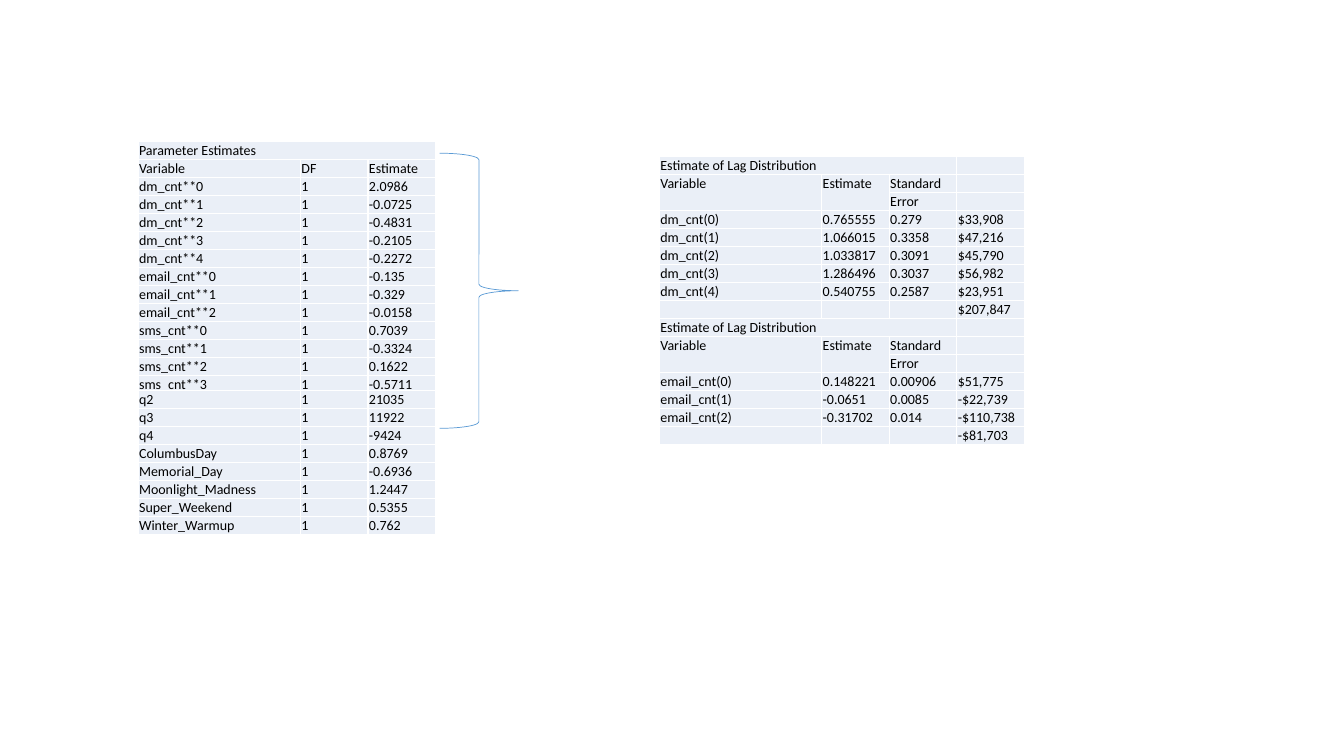
"""Build a slide with parameter estimates beside their lag distributions."""
from lxml.etree import SubElement
from pptx import Presentation
from pptx.dml.color import RGBColor
from pptx.enum.shapes import MSO_SHAPE
from pptx.enum.text import MSO_ANCHOR
from pptx.oxml.ns import qn
from pptx.util import Inches, Pt

THEME = {
    "font": "Calibri", "size": 10, "text": "000000",
    "cell": "EAEFF7", "edge": "FFFFFF", "brace": "5B9BD5",
}
MODEL = [
    ("Parameter Estimates", "", ""),
    ("Variable", "DF", "Estimate"),
    ("dm_cnt**0", "1", "2.0986"),
    ("dm_cnt**1", "1", "-0.0725"),
    ("dm_cnt**2", "1", "-0.4831"),
    ("dm_cnt**3", "1", "-0.2105"),
    ("dm_cnt**4", "1", "-0.2272"),
    ("email_cnt**0", "1", "-0.135"),
    ("email_cnt**1", "1", "-0.329"),
    ("email_cnt**2", "1", "-0.0158"),
    ("sms_cnt**0", "1", "0.7039"),
    ("sms_cnt**1", "1", "-0.3324"),
    ("sms_cnt**2", "1", "0.1622"),
    ("sms_cnt**3", "1", "-0.5711"),
]
EVENTS = [
    ("q2", "1", "21035"),
    ("q3", "1", "11922"),
    ("q4", "1", "-9424"),
    ("ColumbusDay", "1", "0.8769"),
    ("Memorial_Day", "1", "-0.6936"),
    ("Moonlight_Madness", "1", "1.2447"),
    ("Super_Weekend", "1", "0.5355"),
    ("Winter_Warmup", "1", "0.762"),
]
HEAD = [
    ("Estimate of Lag Distribution", "", "", ""),
    ("Variable", "Estimate", "Standard", ""),
    ("", "", "Error", ""),
]
MAIL = [
    ("dm_cnt(0)", "0.765555", "0.279", "$33,908"),
    ("dm_cnt(1)", "1.066015", "0.3358", "$47,216"),
    ("dm_cnt(2)", "1.033817", "0.3091", "$45,790"),
    ("dm_cnt(3)", "1.286496", "0.3037", "$56,982"),
    ("dm_cnt(4)", "0.540755", "0.2587", "$23,951"),
    ("", "", "", "$207,847"),
]
EMAIL = [
    ("email_cnt(0)", "0.148221", "0.00906", "$51,775"),
    ("email_cnt(1)", "-0.0651", "0.0085", "-$22,739"),
    ("email_cnt(2)", "-0.31702", "0.014", "-$110,738"),
    ("", "", "", "-$81,703"),
]
LAGS = HEAD + MAIL + HEAD + EMAIL
SPANS = [
    (top + row, col, top + last, end)
    for top in (0, len(HEAD + MAIL))
    for row, col, last, end in ((0, 0, 0, 2), (1, 0, 2, 0), (1, 1, 2, 1))
]
TABLES = [
    (1.37, 1.4, 2.48, MODEL, [(0, 0, 0, 2)]),
    (1.37, 3.87, 1.42, EVENTS, []),
    (6.54, 1.55, 2.83, LAGS, SPANS),
]
BRACE = (4.36, 1.52, 0.78, 2.73)
WIDE, SLIM = 1.61, 0.67
INSET = Inches(0.01)


def color(name):
    """Return a theme colour."""
    return RGBColor.from_string(THEME[name])


def style(cell, text, low):
    """Write and format one table cell."""
    form = {
        "margin_left": INSET, "margin_right": INSET,
        "margin_top": INSET, "margin_bottom": 0,
        "vertical_anchor": MSO_ANCHOR.BOTTOM if low else MSO_ANCHOR.TOP,
    }
    for key, value in form.items():
        setattr(cell, key, value)
    props = cell._tc.get_or_add_tcPr()
    for side in ("a:lnL", "a:lnR", "a:lnT", "a:lnB"):
        line = SubElement(props, qn(side), w=str(Pt(1)))
        fill = SubElement(line, qn("a:solidFill"))
        SubElement(fill, qn("a:srgbClr"), val=THEME["edge"])
    cell.fill.solid()
    cell.fill.fore_color.rgb = color("cell")
    para = cell.text_frame.paragraphs[0]
    if not text:
        SubElement(para._p, qn("a:endParaRPr"), sz=str(THEME["size"] * 100))
        return
    run = para.add_run()
    run.text = text
    face = {"name": THEME["font"], "size": Pt(THEME["size"]), "bold": False}
    for key, value in face.items():
        setattr(run.font, key, value)
    run.font.color.rgb = color("text")


def add_grid(slide, left, top, height, rows, spans):
    """Add one table with equal rows and a wide first column."""
    widths = [WIDE] + [SLIM] * (len(rows[0]) - 1)
    box = map(Inches, (left, top, sum(widths), height))
    table = slide.shapes.add_table(len(rows), len(widths), *box).table
    table.first_row = table.horz_banding = False
    for col, width in zip(table.columns, widths):
        col.width = Inches(width)
    for row in table.rows:
        row.height = Inches(height / len(rows))
    for row, col, last, end in spans:
        table.cell(row, col).merge(table.cell(last, end))
    for i, row in enumerate(rows):
        for j, text in enumerate(row):
            style(table.cell(i, j), text, j == 3 and text)


def main():
    """Draw the tables and the brace, then save."""
    deck = Presentation()
    deck.slide_width, deck.slide_height = Inches(13.33), Inches(7.5)
    slide = deck.slides.add_slide(deck.slide_layouts[6])
    for grid in TABLES:
        add_grid(slide, *grid)
    brace = slide.shapes.add_shape(MSO_SHAPE.RIGHT_BRACE, *map(Inches, BRACE))
    brace.shadow.inherit = False
    brace.fill.background()
    brace.line.color.rgb = color("brace")
    brace.line.width = Pt(0.5)
    deck.save("out.pptx")


if __name__ == "__main__":
    main()
